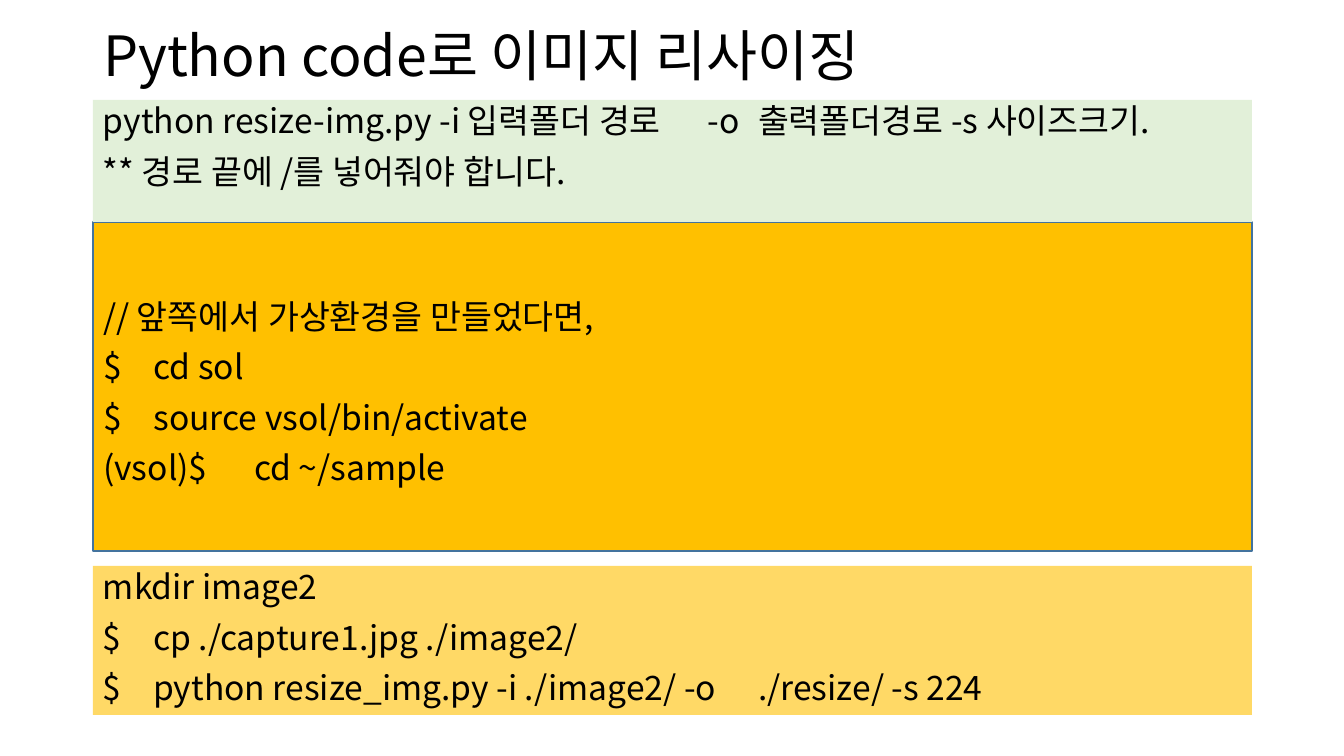
from lxml import etree
from pptx import Presentation
from pptx.dml.color import RGBColor
from pptx.enum.shapes import MSO_SHAPE as SHAPE
from pptx.enum.text import MSO_ANCHOR as ANCHOR, MSO_AUTO_SIZE as AUTO_SIZE, PP_ALIGN as ALIGN
from pptx.oxml.ns import qn
from pptx.util import Pt

EMU_PER_PX = 914400 / 100.8
FONT = "Noto Sans CJK KR"
BLACK = RGBColor(0x00, 0x00, 0x00)
GREEN = RGBColor(0xE2, 0xF0, 0xD9)
ORANGE = RGBColor(0xFF, 0xC0, 0x00)
YELLOW = RGBColor(0xFF, 0xD9, 0x66)
BLUE = RGBColor(0x43, 0x73, 0x9E)
LEFT, WIDTH = 93, 1159

# Each line is its text and the tab stops, in px, that it uses
USAGE = [
    ("python resize-img.py -i 입력폴더 경로\t-o\t출력폴더경로 -s 사이즈크기.", [595, 650]),
    ("** 경로 끝에 /를 넣어줘야 합니다.", []),
]
ENVIRONMENT = [
    ("// 앞쪽에서 가상환경을 만들었다면,", []),
    ("$\tcd sol", [41]),
    ("$\tsource vsol/bin/activate", [41]),
    ("(vsol)$\tcd ~/sample", [127]),
]
RESIZE = [
    ("mkdir image2", []),
    ("$\tcp ./capture1.jpg ./image2/", [34]),
    ("$\tpython resize_img.py -i ./image2/ -o\t./resize/ -s 224", [34, 611]),
]


def px(length):
    return round(length * EMU_PER_PX)


def place(shape, top, height):
    box = {"left": LEFT, "top": top, "width": WIDTH, "height": height}
    for side, length in box.items():
        setattr(shape, side, px(length))


def set_tabs(paragraph, stops):
    """Make the paragraph flush left without a bullet, with the given tab stops."""
    props = paragraph._p.get_or_add_pPr()
    props.set("marL", "0")
    props.set("indent", "0")
    etree.SubElement(props, qn("a:buNone"))
    if stops:
        tabs = etree.SubElement(props, qn("a:tabLst"))
        for stop in stops:
            etree.SubElement(tabs, qn("a:tab"), pos=str(px(stop)), algn="l")


def write_lines(shape, lines, size, space_before, anchor):
    frame = shape.text_frame
    frame.word_wrap = True
    frame.auto_size = AUTO_SIZE.NONE
    frame.vertical_anchor = anchor
    paragraph_format = {"alignment": ALIGN.LEFT, "line_spacing": 0.9,
                        "space_before": Pt(space_before)}
    for number, (text, stops) in enumerate(lines):
        paragraph = frame.add_paragraph() if number else frame.paragraphs[0]
        set_tabs(paragraph, stops)
        for name, value in paragraph_format.items():
            setattr(paragraph, name, value)
        run = paragraph.add_run()
        run.text = text
        run.font.size = Pt(size)
        run.font.name = FONT
        run.font.color.rgb = BLACK
        etree.SubElement(run._r.get_or_add_rPr(), qn("a:ea"), typeface=FONT)


def fill_solid(shape, color):
    shape.fill.solid()
    shape.fill.fore_color.rgb = color


def add_code_panel(slide, top, height, color, lines):
    panel = slide.shapes.add_shape(SHAPE.RECTANGLE, px(LEFT), px(top), px(WIDTH), px(height))
    panel.shadow.inherit = False
    fill_solid(panel, color)
    panel.line.fill.background()
    write_lines(panel, lines, 24, 10, ANCHOR.TOP)


def fill_title(title):
    place(title, 40, 37)
    write_lines(title, [("Python code로 이미지 리사이징", [])], 39.6, 0, ANCHOR.MIDDLE)


def fill_body(body):
    place(body, 222, 329)
    fill_solid(body, ORANGE)
    body.line.color.rgb = BLUE
    body.line.width = Pt(1)
    body.text_frame.margin_top = px(20)
    write_lines(body, ENVIRONMENT, 24, 10, ANCHOR.MIDDLE)


def main():
    deck = Presentation()
    deck.slide_width, deck.slide_height = px(1344), px(756)
    slide = deck.slides.add_slide(deck.slide_layouts[1])
    fill_title(slide.shapes.title)
    fill_body(slide.placeholders[1])
    add_code_panel(slide, 566, 149, YELLOW, RESIZE)
    add_code_panel(slide, 100, 122, GREEN, USAGE)
    deck.save("out.pptx")


if __name__ == "__main__":
    main()
